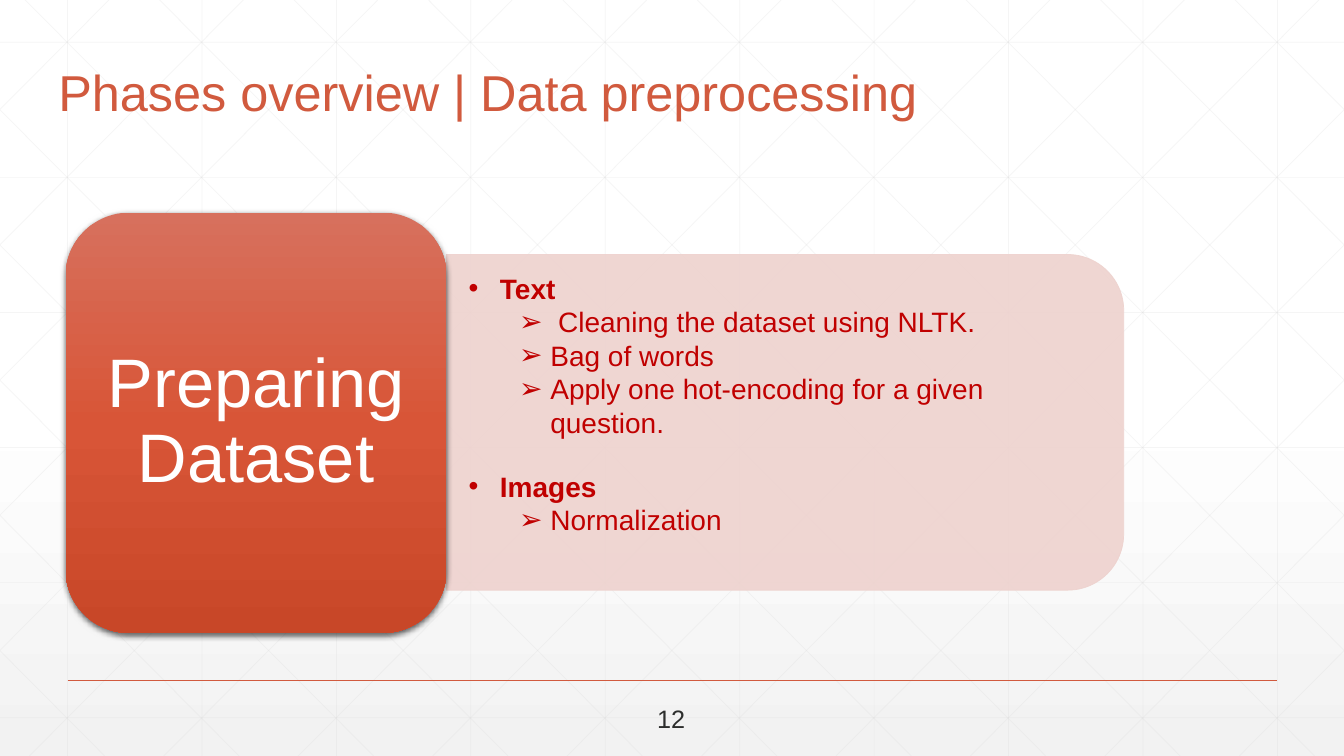
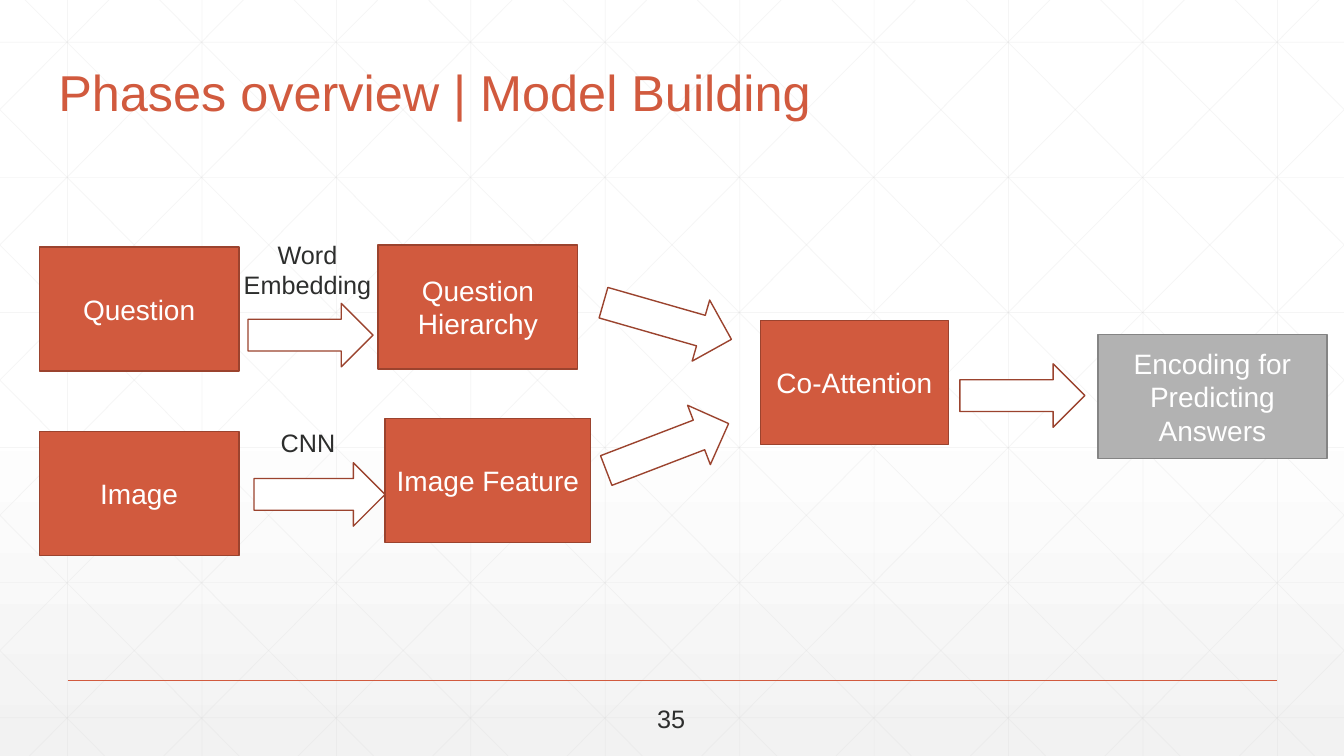
"""Build two slides on the phases of a question-answering project."""
import dataclasses

import lxml.etree
import pptx
import pptx.dml.color
import pptx.enum.shapes
import pptx.enum.text
import pptx.oxml.ns
import pptx.util

Inches = pptx.util.Inches
Pt = pptx.util.Pt
SHAPE = pptx.enum.shapes.MSO_SHAPE
ALIGN = pptx.enum.text.PP_ALIGN
ANCHOR = pptx.enum.text.MSO_ANCHOR


@dataclasses.dataclass(frozen=True)
class Theme:
    """Colours, type sizes and measures shared by the slides."""
    font: str = "Arial"
    accent: str = "D15A3E"
    accent_edge: str = "9B432E"
    muted: str = "B2B2B2"
    muted_edge: str = "848484"
    panel: str = "EED2CE"
    bullet: str = "C00000"
    ink: str = "2D2E2D"
    white: str = "FFFFFF"
    shadow: str = "000000"
    grid: str = "D9D9D9"
    backdrop: tuple = ((0, "FFFFFF"), (53, "FFFFFF"), (100, "F2F2F2"))
    card: tuple = ((0, "D7705D"), (50, "D85537"), (100, "C84728"))
    title_size: int = 36
    card_size: int = 49
    body_size: int = 20
    label_size: int = 18
    width: float = 13.33
    height: float = 7.5


THEME = Theme()


def rgb(value):
    """Return a colour object for a hex value."""
    return pptx.dml.color.RGBColor.from_string(value)


def apply_formats(target, formats):
    """Set each named attribute of the target."""
    for name, value in formats.items():
        setattr(target, name, value)


def add_element(parent, tag, **attributes):
    """Append an XML child with the given attributes."""
    child = lxml.etree.SubElement(parent, pptx.oxml.ns.qn(tag))
    for name, value in attributes.items():
        child.set(name, str(value))
    return child


def find_all(element, tag):
    """List the descendants with a tag."""
    return list(element.iter(pptx.oxml.ns.qn(tag)))


def set_alpha(element, percent):
    """Give every plain colour under the element an opacity."""
    for color in find_all(element, "a:srgbClr"):
        add_element(color, "a:alpha", val=percent * 1000)


def set_gradient(fill, element, stops):
    """Fill from top to bottom with (percent, colour) stops."""
    fill.gradient()
    fill.gradient_angle = 270
    stop_list = find_all(element, "a:gsLst")[0]
    stop_list.clear()
    for position, color in stops:
        stop = add_element(stop_list, "a:gs", pos=position * 1000)
        add_element(stop, "a:srgbClr", val=color)


def add_line(shapes, start, end, color, weight, alpha=None):
    """Draw a straight line between two points."""
    line = shapes.add_connector(pptx.enum.shapes.MSO_CONNECTOR.STRAIGHT,
                                *map(Inches, start + end))
    line.line.color.rgb = rgb(color)
    line.line.width = Pt(weight)
    if alpha:
        set_alpha(line.element.spPr, alpha)
    add_element(line.element.spPr, "a:effectLst")


def add_shape(slide, kind, box, fill=None, edge=None, weight=1, rotation=0):
    """Add a flat preset shape."""
    shape = slide.shapes.add_shape(kind, *map(Inches, box))
    shape.rotation = rotation
    if fill:
        shape.fill.solid()
        shape.fill.fore_color.rgb = rgb(fill)
    if edge:
        shape.line.color.rgb = rgb(edge)
        shape.line.width = Pt(weight)
    else:
        shape.line.fill.background()
    shape.shadow.inherit = False
    return shape


def write(paragraph, text, size, color, bold=False, **formats):
    """Write one formatted paragraph."""
    run = paragraph.add_run()
    run.text = text
    apply_formats(run.font, {"name": THEME.font, "size": Pt(size), "bold": bold})
    run.font.color.rgb = rgb(color)
    apply_formats(paragraph, formats)


def add_text(slide, box, text, size, color, anchor=ANCHOR.TOP, wrap=True, **formats):
    """Add a text box with one paragraph."""
    frame = slide.shapes.add_textbox(*map(Inches, box)).text_frame
    apply_formats(frame, {"word_wrap": wrap, "vertical_anchor": anchor})
    write(frame.paragraphs[0], text, size, color, **formats)


def add_block(slide, box, text, fill=THEME.accent, edge=THEME.accent_edge):
    """Add a labelled step of the model."""
    frame = add_shape(slide, SHAPE.RECTANGLE, box, fill, edge).text_frame
    apply_formats(frame, {"word_wrap": True, "vertical_anchor": ANCHOR.MIDDLE})
    write(frame.paragraphs[0], text, THEME.body_size, THEME.white,
          alignment=ALIGN.CENTER)


def add_bullets(slide, box, sections):
    """Add headed lists with round and arrow bullets."""
    frame = slide.shapes.add_textbox(*map(Inches, box)).text_frame
    frame.word_wrap = True
    rows = [(text, level, index) for index, (heading, items) in enumerate(sections)
            for level, texts in enumerate(([heading], items)) for text in texts]
    for number, (text, level, section) in enumerate(rows):
        paragraph = frame.add_paragraph() if number else frame.paragraphs[0]
        gap = Inches(0.3) if section and level == 0 else Pt(0)
        write(paragraph, text, THEME.body_size, THEME.bullet, bold=level == 0,
              level=level, space_before=gap)
        properties = paragraph._p.get_or_add_pPr()
        properties.set("marL", str(Inches(0.31 + 0.5 * level)))
        properties.set("indent", str(Inches(-0.31)))
        add_element(properties, "a:buFont", typeface=THEME.font)
        add_element(properties, "a:buChar", char="•➢"[level])


def grid_lines():
    """Yield the end points of the upright, level and diagonal grid lines."""
    width, height, pitch, slope = THEME.width, THEME.height, 4 / 3, 1.006
    for index in range(10):
        x = 0.67 + index * pitch
        yield (x, 0), (x, height)
    for index in range(6):
        y = 0.42 + index * 1.34
        yield (0, y), (width, y)
    for index in range(-5, 10):
        origin = 0.25 + index * pitch
        left, right = max(origin, 0), min(origin + height / slope, width)
        top, bottom = (left - origin) * slope, (right - origin) * slope
        yield (left, top), (right, bottom)
        yield (width - left, top), (width - right, bottom)


def build_master(presentation, slide):
    """Put the backdrop, the grid and the footer rule on the master."""
    master = presentation.slide_master
    set_gradient(master.background.fill, master.element.cSld, THEME.backdrop)
    group = slide.shapes.add_group_shape()
    for start, end in grid_lines():
        add_line(group.shapes, start, end, THEME.grid, 0.5, alpha=25)
    add_line(group.shapes, (0.67, 6.75), (12.67, 6.75), THEME.accent, 1)
    for number, properties in enumerate(find_all(group.element, "p:cNvPr"), 100):
        properties.set("id", str(number))
    master.element.cSld.spTree.append(group.element)


def add_slide(presentation, title, number):
    """Add a slide with its title and page number."""
    slide = presentation.slides.add_slide(presentation.slide_layouts[6])
    add_text(slide, (0.48, 0.53, 10.5, 0.73), title, THEME.title_size, THEME.accent,
             anchor=ANCHOR.BOTTOM, line_spacing=0.9)
    add_text(slide, (6.42, 6.93, 0.48, 0.4), number, THEME.label_size, THEME.ink,
             wrap=False)
    return slide


def build_preprocessing(slide):
    """Show how the dataset is prepared."""
    panel = add_shape(slide, SHAPE.ROUND_2_SAME_RECTANGLE, (6.12, 0.83, 3.33, 6.72),
                      THEME.panel, THEME.panel, 0.5, rotation=90)
    set_alpha(panel.element.spPr, 90)
    card = add_shape(slide, SHAPE.ROUNDED_RECTANGLE, (0.65, 2.11, 3.78, 4.17))
    set_gradient(card.fill, card.element.spPr, THEME.card)
    effects = find_all(card.element.spPr, "a:effectLst")[0]
    shadow = add_element(effects, "a:outerShdw", blurRad=Pt(4.5), dist=Pt(1.5),
                         dir=90 * 60000, rotWithShape=0)
    add_element(shadow, "a:srgbClr", val=THEME.shadow)
    set_alpha(shadow, 63)
    apply_formats(card.text_frame, {
        "word_wrap": True, "vertical_anchor": ANCHOR.MIDDLE,
        "margin_left": Inches(0.2), "margin_right": Inches(0.2)})
    write(card.text_frame.paragraphs[0], "Preparing Dataset", THEME.card_size,
          THEME.white, alignment=ALIGN.CENTER, line_spacing=0.9)
    add_bullets(slide, (4.55, 2.64, 6.35, 2.76), [
        ("Text", [" Cleaning the dataset using NLTK.", "Bag of words",
                  "Apply one hot-encoding for a given question."]),
        ("Images", ["Normalization"])])


def build_model(slide):
    """Show the steps from question and image to the answer."""
    step_height, arrow_height = 1.23, 0.63
    for left, top, width, text in (
            (0.39, 2.45, 1.98, "Question"), (0.39, 4.28, 1.98, "Image"),
            (3.75, 2.43, 1.98, "Question Hierarchy"),
            (3.82, 4.15, 2.04, "Image Feature"),
            (7.54, 3.18, 1.87, "Co-Attention")):
        add_block(slide, (left, top, width, step_height), text)
    add_block(slide, (10.89, 3.32, 2.27, step_height),
              "Encoding for Predicting Answers", THEME.muted, THEME.muted_edge)
    for left, top, width, rotation in (
            (2.46, 3.01, 1.24, 0), (2.52, 4.59, 1.3, 0), (5.96, 2.87, 1.32, 16),
            (5.97, 4.12, 1.3, 339), (9.52, 3.61, 1.24, 0)):
        add_shape(slide, SHAPE.RIGHT_ARROW, (left, top, width, arrow_height),
                  THEME.white, THEME.accent_edge, rotation=rotation)
    for box, text in (((2.15, 2.32, 1.8, 0.71), "Word Embedding"),
                      ((2.3, 4.19, 1.51, 0.4), "CNN")):
        add_text(slide, box, text, THEME.label_size, THEME.ink,
                 alignment=ALIGN.CENTER)


def main():
    """Build and save the presentation."""
    presentation = pptx.Presentation()
    apply_formats(presentation, {"slide_width": Inches(THEME.width),
                                 "slide_height": Inches(THEME.height)})
    preprocessing = add_slide(presentation, "Phases overview | Data preprocessing", "12")
    build_master(presentation, preprocessing)
    build_preprocessing(preprocessing)
    build_model(add_slide(presentation, "Phases overview | Model Building", "35"))
    presentation.save("out.pptx")


if __name__ == "__main__":
    main()
